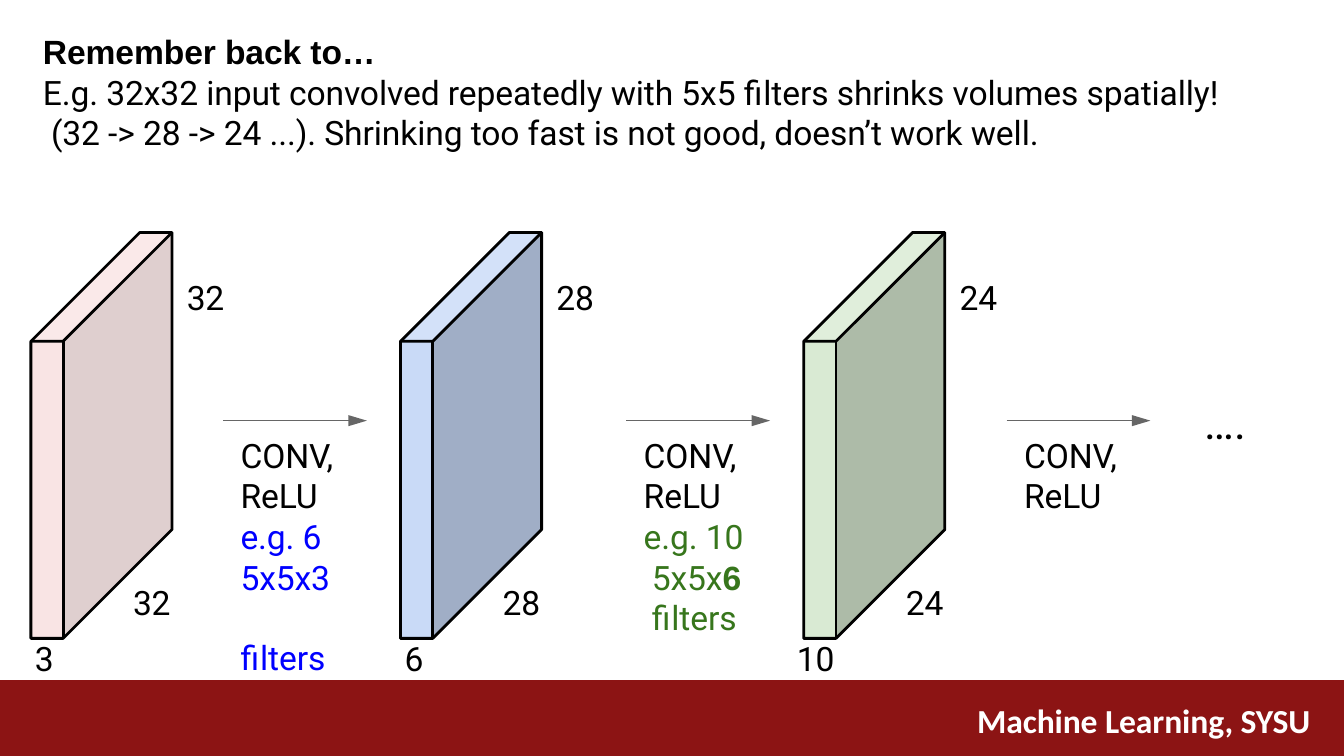
from dataclasses import dataclass

from lxml import etree
from pptx import Presentation
from pptx import util as u
from pptx.dml.color import RGBColor
from pptx.enum import shapes, text
from pptx.oxml import ns

PX = 9144  # one px is a hundredth of an inch
BLACK, WHITE, GREY, RED = "000000", "FFFFFF", "666666", "8C1414"
BLUE, GREEN = "0000FF", "37761C"


@dataclass
class Run:
    words: str
    color: str = BLACK
    font: str = "Roboto"
    size: int = 18
    bold: bool = False


@dataclass
class Line:
    runs: list[Run]
    before: float = 0
    indent: int = 0
    pitch: float = 1.01


@dataclass
class Block:
    left: int
    side: str
    depth: str
    shift: int
    fills: tuple[str, str, str]
    alpha: int = 100


@dataclass
class Step:
    left: int
    notes: list[Line]


def px(n: int) -> u.Emu:
    return u.Emu(n * PX)


def rgb(code: str) -> RGBColor:
    return RGBColor.from_string(code)


def put(item, vals: dict) -> None:
    for key, val in vals.items():
        setattr(item, key, val)


def sub(node, tag: str, **vals: str):
    return etree.SubElement(node, ns.qn(tag), **vals)


def paint(shape, color: str, alpha: int = 100) -> None:
    shape.shadow.inherit = False
    shape.fill.solid()
    shape.fill.fore_color.rgb = rgb(color)
    shape.line.fill.background()
    if alpha < 100:
        node = shape.fill._xPr.find(".//" + ns.qn("a:srgbClr"))
        sub(node, "a:alpha", val=str(alpha * 1000))


def write(shape, box: tuple[int, int, int, int], lines: list[Line]) -> None:
    """Place a text shape and fill it, one paragraph a line."""
    put(shape, dict(zip(("left", "top", "width", "height"), map(px, box))))
    frame = shape.text_frame
    put(frame, {"margin_left": 0, "margin_right": 0, "margin_top": px(1),
                "margin_bottom": 0, "word_wrap": True,
                "auto_size": text.MSO_AUTO_SIZE.NONE,
                "vertical_anchor": text.MSO_ANCHOR.TOP})
    for i, line in enumerate(lines):
        para = frame.add_paragraph() if i else frame.paragraphs[0]
        put(para, {"alignment": text.PP_ALIGN.LEFT,
                   "line_spacing": line.pitch,
                   "space_before": u.Pt(line.before), "space_after": u.Pt(0)})
        props = para._p.get_or_add_pPr()
        props.set("marL", str(px(1 + line.indent)))
        props.set("indent", "0")
        sub(props, "a:buNone")
        for run in line.runs:
            part = para.add_run()
            part.text = run.words
            put(part.font, {"name": run.font, "size": u.Pt(run.size),
                            "bold": run.bold})
            part.font.color.rgb = rgb(run.color)
            part.font._element.set("spc", "-5")


def label(slide, x: int, y: int, w: int, h: int, lines: list[Line]) -> None:
    write(slide.shapes.add_textbox(0, 0, 0, 0), (x, y, w, h), lines)


def plain(words: str, size: int = 18) -> list[Line]:
    return [Line([Run(words, size=size)], before=1, pitch=1.0)]


def trace(slide, *paths: tuple[list, bool]):
    """Build one freeform from (points, closed) pairs."""
    pen = None
    for (start, *rest), closed in paths:
        if pen is None:
            pen = slide.shapes.build_freeform(*start, scale=PX)
        else:
            pen.move_to(*start)
        pen.add_line_segments(rest, close=closed)
    return pen.convert_to_shape()


def draw_block(slide, b: Block) -> None:
    thick, skew, top, high = 24, 81, 173, 221
    x, y = b.left, top + skew
    fl, fr = (x, y), (x + thick, y)
    bl, br = (x + skew, top), (x + thick + skew, top)
    low, base = (x, y + high), (x + thick, y + high)
    far = (x + thick + skew, top + high)
    faces = [fl, fr, base, low], [fr, br, far, base], [fl, bl, br, fr]
    for face, fill in zip(faces, b.fills):
        paint(trace(slide, (face, True)), fill, b.alpha)
    edge = trace(slide, ([fl, bl, br, far, base, low], True),
                 ([fl, fr, br], False), ([fr, base], False))
    edge.shadow.inherit = False
    edge.fill.background()
    edge.line.color.rgb = rgb(BLACK)
    edge.line.width = u.Pt(1.5)
    label(slide, x + 75, 432, 31, 33, plain(b.side))
    label(slide, x + 115, 205, 31, 33, plain(b.side))
    label(slide, x + b.shift, 474, 31, 33, plain(b.depth))


def draw_step(slide, s: Step) -> None:
    arrow = slide.shapes.add_connector(
        shapes.MSO_CONNECTOR.STRAIGHT,
        px(s.left), px(313), px(s.left + 107), px(313))
    arrow.line.color.rgb = rgb(GREY)
    arrow.line.width = u.Pt(0.75)
    sub(arrow.line._get_or_add_ln(), "a:tailEnd",
        type="triangle", w="med", len="lg")
    sub(arrow._element.spPr, "a:effectLst")
    conv = [Line([Run("CONV,")], before=0.8), Line([Run("ReLU")])]
    lines = conv + s.notes
    label(slide, s.left + 12, 322, 82, 30 * len(lines) + 3, lines)


BLOCKS = [
    Block(23, "32", "3", 2, ("F4CCCC", "C3A3A3", "F6D6D6"), alpha=52),
    Block(298, "28", "6", 2, ("C9DAF7", "A0AEC6", "D3E1F9")),
    Block(598, "24", "10", -6, ("D9EAD3", "ADBBA8", "E0EEDB")),
]
STEPS = [
    Step(166, [Line([Run("e.g. 6", BLUE)]), Line([Run("5x5x3", BLUE)]),
               Line([Run("filters", BLUE)], before=21.5)]),
    Step(466, [Line([Run("e.g. 10", GREEN)]),
               Line([Run("5x5x", GREEN), Run("6", GREEN, "Arial", bold=True)],
                    indent=6),
               Line([Run("filters", GREEN)], indent=6)]),
    Step(749, []),
]
INTRO = [
    Line([Run("E.g. 32x32 input convolved repeatedly with 5x5 filters "
              "shrinks volumes spatially!")], before=0.8),
    Line([Run("(32 -> 28 -> 24 ...). Shrinking too fast is not good, "
              "doesn’t work well.")], indent=6),
]


def main() -> None:
    deck = Presentation()
    put(deck, {"slide_width": px(1000), "slide_height": u.Emu(5143500)})
    slide = deck.slides.add_slide(deck.slide_layouts[1])
    head, body = slide.placeholders
    band = slide.shapes.add_shape(shapes.MSO_SHAPE.RECTANGLE,
                                  0, px(506), px(1000), px(56))
    band.height = deck.slide_height - band.top
    paint(band, RED)
    label(slide, 726, 520, 265, 32,
          [Line([Run("Machine Learning, SYSU", WHITE, "Calibri", bold=True)],
                pitch=1.0)])
    write(head, (31, 22, 300, 33),
          [Line([Run("Remember back to…", font="Arial", bold=True)],
                before=1, pitch=1.0)])
    write(body, (31, 52, 890, 63), INTRO)
    for block in BLOCKS:
        draw_block(slide, block)
    for step in STEPS:
        draw_step(slide, step)
    label(slide, 895, 293, 45, 43, plain("….", 24))
    deck.save("out.pptx")


if __name__ == "__main__":
    main()
